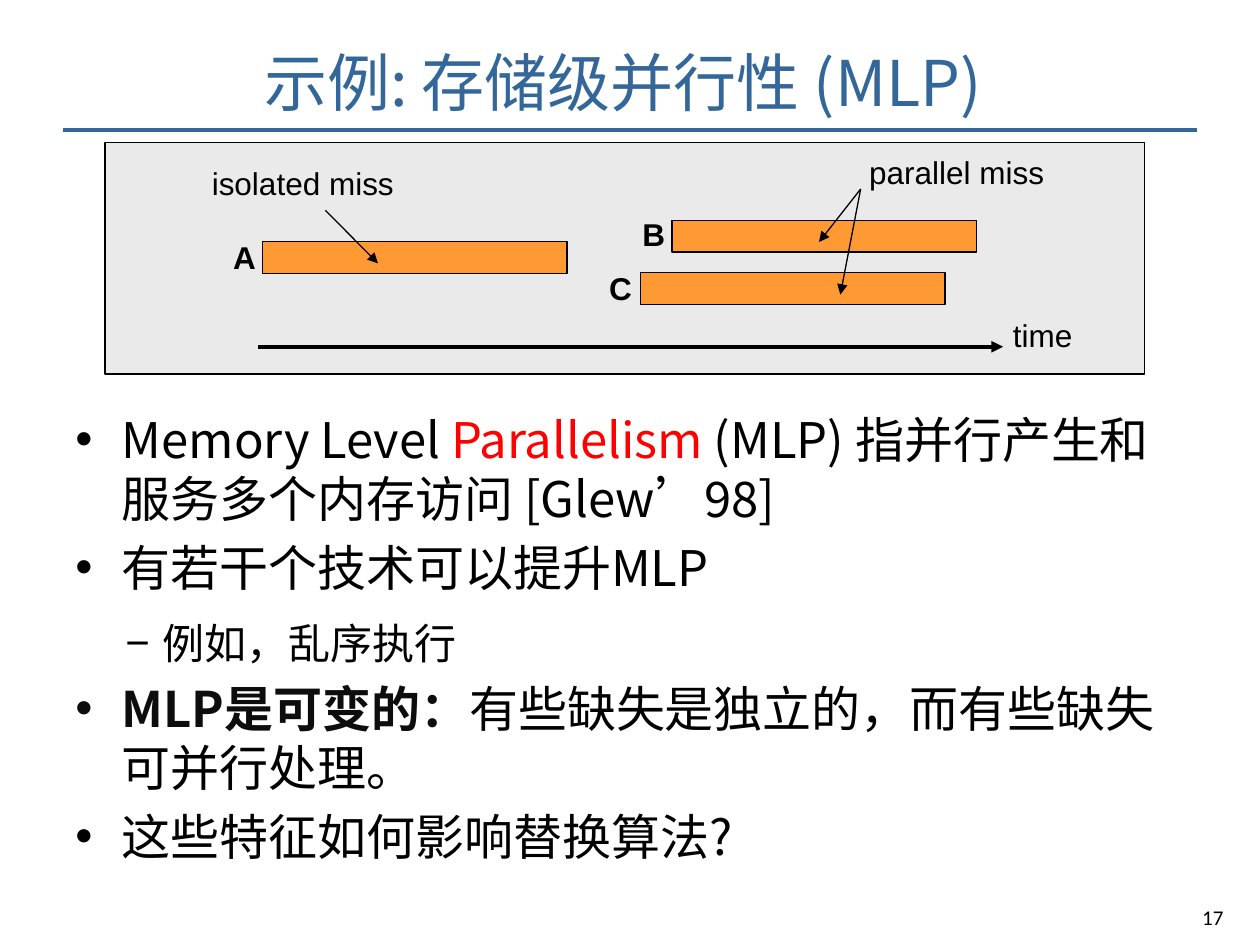
from pptx import Presentation
from pptx.dml.color import RGBColor
from pptx.enum.shapes import MSO_CONNECTOR, MSO_SHAPE
from pptx.enum.text import MSO_ANCHOR, PP_ALIGN
from pptx.oxml.ns import qn
from pptx.util import Cm, Pt
from lxml import etree

STRAIGHT = MSO_CONNECTOR.STRAIGHT
RECTANGLE = MSO_SHAPE.RECTANGLE
TOP, MIDDLE = MSO_ANCHOR.TOP, MSO_ANCHOR.MIDDLE
LEFT, CENTER = PP_ALIGN.LEFT, PP_ALIGN.CENTER

BLACK = RGBColor(0x00, 0x00, 0x00)
NEAR_BLACK = RGBColor(0x0D, 0x0D, 0x0D)
BLUE = RGBColor(0x33, 0x66, 0x99)
RED = RGBColor(0xFF, 0x00, 0x00)
GRAY = RGBColor(0xEA, 0xEA, 0xEA)
ORANGE = RGBColor(0xFF, 0x99, 0x33)

SANS, QUOTE, LABEL, NUMBER = "Noto Sans CJK SC", "Noto Sans CJK JP", "Arial", "Calibri"
BAR_WIDTH, BAR_HEIGHT = 6.14, 0.64


class SlideBuilder:
    """Holds the text style and the current slide, and adds each kind of element."""

    def __init__(self, deck):
        self.slide = deck.slides.add_slide(deck.slide_layouts[6])
        self.style = {"name": SANS, "size": Pt(28), "bold": False, "color": BLACK}

    def line(self, start, end, width=0.75, color=BLACK, arrow=True):
        points = [Cm(value) for value in (*start, *end)]
        connector = self.slide.shapes.add_connector(STRAIGHT, *points)
        connector.line.width = Pt(width)
        connector.line.color.rgb = color
        if arrow:
            outline = connector.line._get_or_add_ln()
            etree.SubElement(outline, qn("a:tailEnd"), type="triangle")
        etree.SubElement(connector._element.spPr, qn("a:effectLst"))

    def rectangle(self, left, top, width, height, color):
        lengths = [Cm(value) for value in (left, top, width, height)]
        shape = self.slide.shapes.add_shape(RECTANGLE, *lengths)
        shape.shadow.inherit = False
        shape.fill.solid()
        shape.fill.fore_color.rgb = color
        shape.line.color.rgb = BLACK
        shape.line.width = Pt(0.75)

    def box(self, left, top, width, height, anchor=TOP):
        lengths = [Cm(value) for value in (left, top, width, height)]
        frame = self.slide.shapes.add_textbox(*lengths).text_frame
        frame.word_wrap = True
        frame.vertical_anchor = anchor
        return frame

    def spans(self, para, parts):
        for text, changes in parts:
            span = para.add_run()
            span.text = text
            values = {**self.style, **changes}
            span.font.color.rgb = values.pop("color")
            for key, value in values.items():
                setattr(span.font, key, value)
            etree.SubElement(span._r.rPr, qn("a:ea"), typeface=values["name"])

    def text(self, place, text, align=LEFT, anchor=TOP, **changes):
        frame = self.box(*place, anchor=anchor)
        para = frame.paragraphs[0]
        para.alignment = align
        self.spans(para, [(text, changes)])
        return frame

    def bullets(self, place, items):
        frame = self.box(*place)
        for index, (level, parts) in enumerate(items):
            para = frame.add_paragraph() if index else frame.paragraphs[0]
            margin, indent, mark, before = [
                (0.94, -0.96, "•", 0), (1.75, -0.74, "−", 6)][level]
            formats = {"level": level, "space_before": Pt(before), "space_after": Pt(6)}
            for key, value in formats.items():
                setattr(para, key, value)
            properties = para._p.get_or_add_pPr()
            properties.set("marL", str(Cm(margin)))
            properties.set("indent", str(Cm(indent)))
            etree.SubElement(properties, qn("a:buFont"), typeface="Arial")
            etree.SubElement(properties, qn("a:buChar"), char=mark)
            self.spans(para, parts)


def main():
    deck = Presentation()
    deck.slide_width, deck.slide_height = Cm(25.4), Cm(19.05)
    page = SlideBuilder(deck)

    page.line((1.27, 2.62), (24.13, 2.62), 2, BLUE, arrow=False)
    page.text((1.27, 0.53, 22.86, 2.21), "示例: 存储级并行性 (MLP) ",
              CENTER, MIDDLE, size=Pt(36), color=BLUE)
    page.bullets((1.27, 8.13, 22.86, 9.53), [
        (0, [("Memory Level ", {}), ("Parallelism", {"color": RED}),
             (" (MLP) 指并行产生和服务多个内存访问 [Glew", {}),
             ("’", {"name": QUOTE}), ("98]", {})]),
        (0, [("有若干个技术可以提升MLP", {})]),
        (1, [("例如，乱序执行", {"size": Pt(24)})]),
        (0, [("MLP是可变的：", {"bold": True, "color": NEAR_BLACK}),
             ("有些缺失是独立的，而有些缺失可并行处理。", {})]),
        (0, [("这些特征如何影响替换算法?", {})]),
    ])
    number = page.text((23.5, 18.08, 1.9, 0.58), "17", CENTER,
                       name=NUMBER, size=Pt(12))
    number.margin_top = number.margin_bottom = Cm(0.15)

    page.rectangle(2.12, 2.88, 20.95, 4.66, GRAY)
    for left, top in ((5.29, 4.87), (13.55, 4.44), (12.91, 5.5)):
        page.rectangle(left, top, BAR_WIDTH, BAR_HEIGHT, ORANGE)

    labels = [
        ("time", 20.17, 6.25, 2.34, False),
        ("A", 4.45, 4.67, 1.7, True),
        ("B", 12.7, 4.22, 1.7, True),
        ("C", 12.03, 5.29, 1.7, True),
        ("isolated miss", 4.02, 3.18, 5.72, False),
        ("parallel miss", 17.27, 2.96, 5.29, False),
    ]
    for text, left, top, width, bold in labels:
        page.text((left, top, width, 1.02), text, name=LABEL, size=Pt(18), bold=bold)

    page.line((5.21, 6.99), (20.22, 6.99), 2.25)
    page.line((6.56, 4.24), (7.62, 5.31))
    for end in ((16.51, 4.88), (16.94, 5.94)):
        page.line((17.35, 3.81), end)

    deck.save("out.pptx")


if __name__ == "__main__":
    main()
